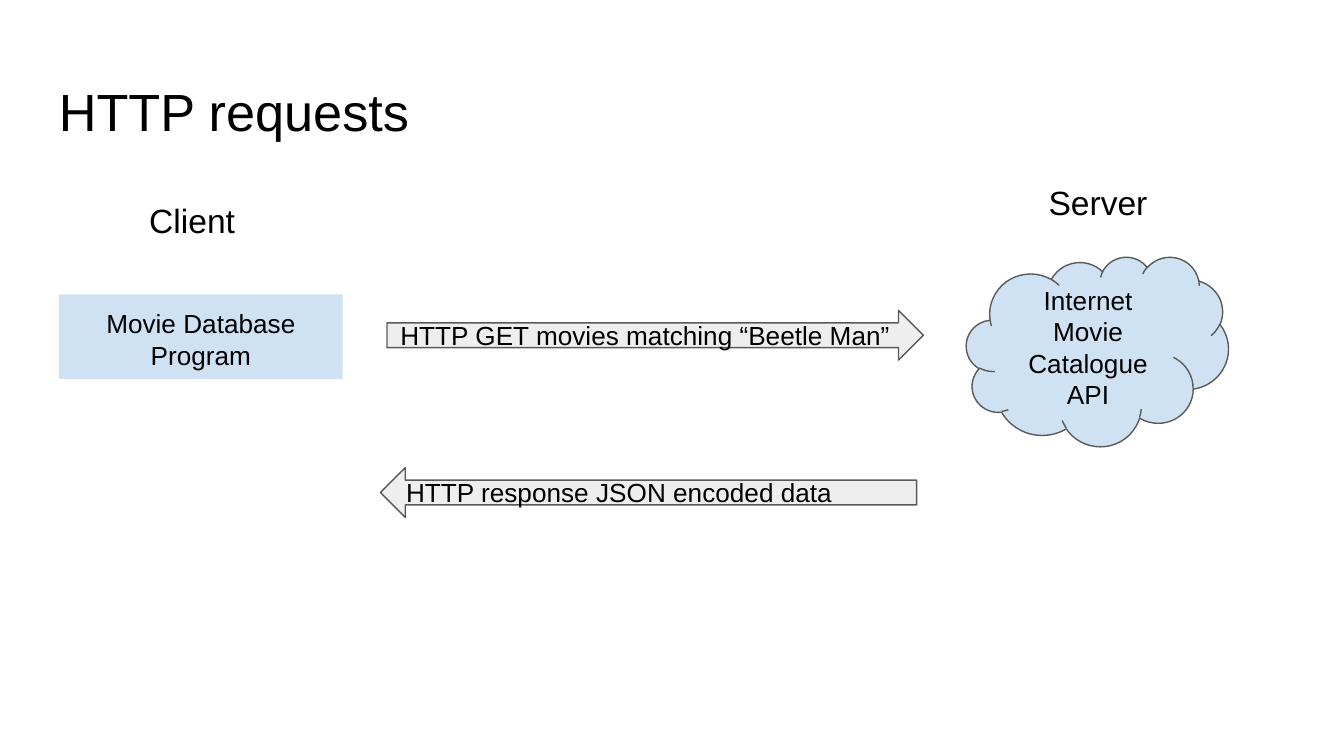
"""Build the HTTP requests slide: a client and a server exchanging messages."""
from pptx import Presentation
from pptx.dml.color import RGBColor
from pptx.enum.shapes import MSO_SHAPE
from pptx.enum.text import MSO_ANCHOR, PP_ALIGN
from pptx.util import Inches, Pt

BLACK = RGBColor(0x00, 0x00, 0x00)
GRAY = RGBColor(0x59, 0x59, 0x59)
PALE_GRAY = RGBColor(0xEE, 0xEE, 0xEE)
PALE_BLUE = RGBColor(0xCF, 0xE2, 0xF3)

LABELS = [
    ("HTTP requests", (0.34, 0.49, 9.32, 0.63), 28, PP_ALIGN.LEFT),
    ("Client", (0.78, 1.39, 1.3, 0.52), 18, PP_ALIGN.CENTER),
    ("Server", (7.52, 1.25, 1.3, 0.52), 18, PP_ALIGN.CENTER),
]
NODES = [
    ("Internet Movie Catalogue API", MSO_SHAPE.CLOUD, (7.19, 1.91, 1.95, 1.41),
     GRAY, MSO_ANCHOR.MIDDLE),
    ("Movie Database Program", MSO_SHAPE.RECTANGLE, (0.44, 2.19, 2.11, 0.63),
     None, MSO_ANCHOR.TOP),
]
MESSAGES = [
    ("HTTP GET movies matching “Beetle Man”", MSO_SHAPE.RIGHT_ARROW, 2.88, 2.31),
    ("HTTP response JSON encoded data", MSO_SHAPE.LEFT_ARROW, 2.83, 3.48),
]
ARROW_SIZE = (3.99, 0.37)


def write(sp, text, size, align, anchor=MSO_ANCHOR.TOP):
    tf = sp.text_frame
    frame = {"word_wrap": True, "vertical_anchor": anchor}
    frame.update({f"margin_{side}": Inches(0.1)
                  for side in ("left", "top", "right", "bottom")})
    for name, value in frame.items():
        setattr(tf, name, value)
    p = tf.paragraphs[0]
    p.alignment = align
    r = p.add_run()
    r.text = text
    for name, value in {"name": "Arial", "size": Pt(size)}.items():
        setattr(r.font, name, value)
    r.font.color.rgb = BLACK


def add_block(s, kind, box, fill, line):
    sp = s.shapes.add_shape(kind, *map(Inches, box))
    sp.shadow.inherit = False
    sp.fill.solid()
    sp.fill.fore_color.rgb = fill
    if line is None:
        sp.line.fill.background()
    else:
        sp.line.color.rgb = line
        sp.line.width = Pt(0.75)
    return sp


prs = Presentation()
prs.slide_width = Inches(10)
prs.slide_height = prs.slide_width * 9 // 16
s = prs.slides.add_slide(prs.slide_layouts[6])

for text, box, size, align in LABELS:
    write(s.shapes.add_textbox(*map(Inches, box)), text, size, align)

for text, kind, box, line, anchor in NODES:
    sp = add_block(s, kind, box, PALE_BLUE, line)
    write(sp, text, 14, PP_ALIGN.CENTER, anchor)

for text, kind, left, top in MESSAGES:
    sp = add_block(s, kind, (left, top, *ARROW_SIZE), PALE_GRAY, GRAY)
    write(sp, text, 14, PP_ALIGN.LEFT, MSO_ANCHOR.MIDDLE)

prs.save("out.pptx")
